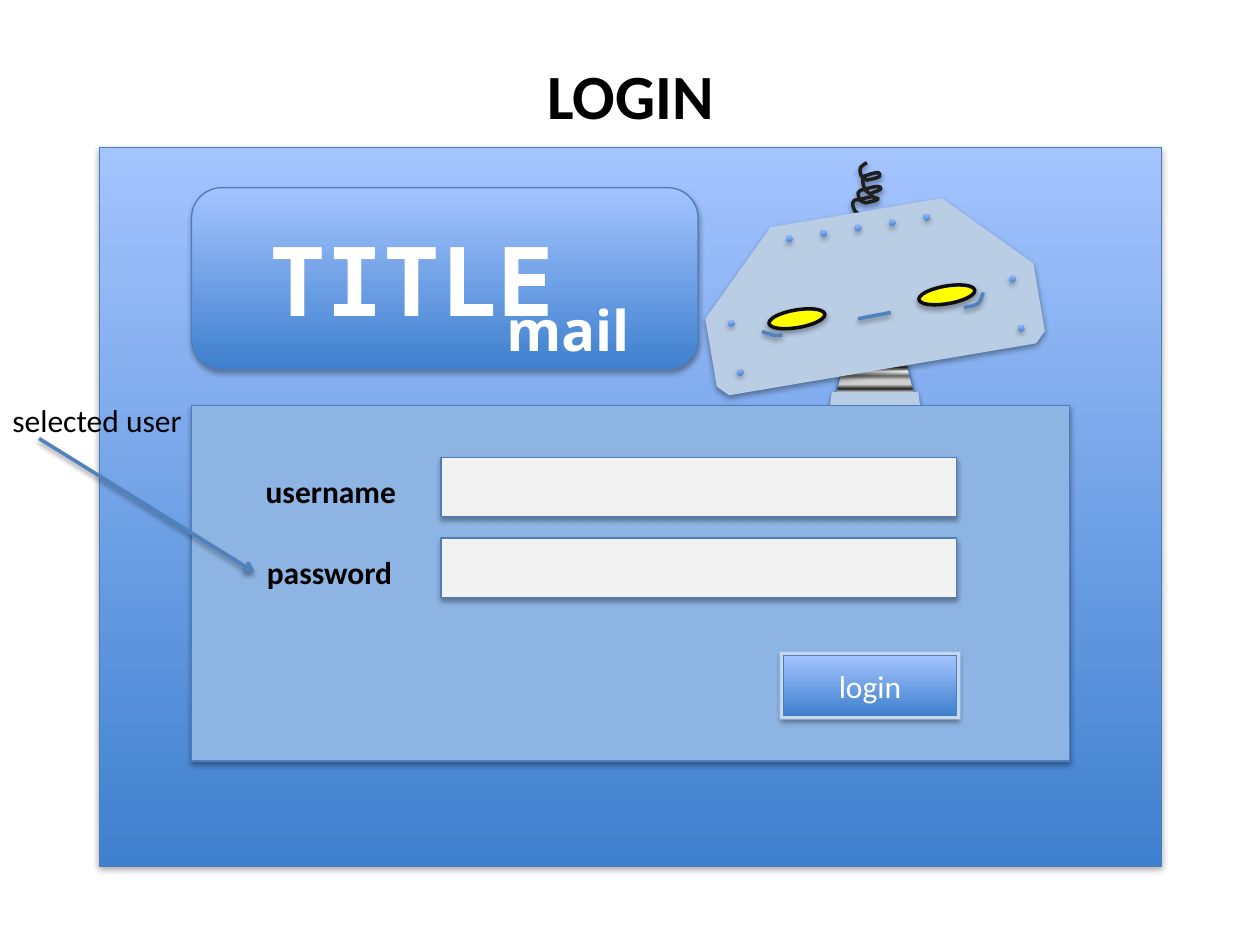
from lxml import etree
from pptx import Presentation
from pptx import util as u
from pptx.dml.color import RGBColor
from pptx.enum import shapes, text
from pptx.oxml.ns import qn

BLACK = RGBColor(0x00, 0x00, 0x00)
WHITE = RGBColor(0xFF, 0xFF, 0xFF)
DEEP = RGBColor(0x3F, 0x80, 0xCE)
SKY = RGBColor(0xA4, 0xC4, 0xFF)
EDGE = RGBColor(0x4B, 0x7E, 0xBC)
STROKE = RGBColor(0x4F, 0x81, 0xBD)
PANEL = RGBColor(0x8E, 0xB4, 0xE3)
METAL = RGBColor(0xB9, 0xCD, 0xE5)
FIELD = RGBColor(0xF2, 0xF2, 0xF2)
YELLOW = RGBColor(0xFF, 0xFF, 0x00)
OUTLINE = RGBColor(0x0D, 0x0D, 0x0D)
WIRE = RGBColor(0x1F, 0x1F, 0x1F)
HALO = RGBColor(0xC6, 0xD9, 0xF1)
STEEL = [(0, "FFFFFF"), (7, "1F1F1F"), (14, "FFFFFF"), (21, "636363"), (28, "CFCFCF"),
         (35, "CFCFCF"), (42, "1F1F1F"), (49, "FFFFFF"), (55, "7F7F7F")]
TILT = -9.6
SHAPE = shapes.MSO_SHAPE

COIL = [(1.30, 0), (1.28, .02), (1.26, .02), (1.25, .04), (1.24, .06), (1.25, .10), (1.26, .11),
        (1.27, .12), (1.29, .13), (1.30, .14), (1.33, .13), (1.37, .13), (1.40, .11),
        (1.41, .10), (1.40, .08), (1.39, .08), (1.35, .08), (1.31, .10), (1.27, .11),
        (1.27, .16), (1.26, .16), (1.29, .22), (1.30, .23), (1.31, .24), (1.33, .25),
        (1.35, .23), (1.39, .23), (1.41, .21), (1.42, .20), (1.40, .19), (1.39, .19),
        (1.34, .19), (1.30, .21), (1.25, .22), (1.25, .23), (1.23, .23), (1.23, .24),
        (1.24, .31), (1.24, .30), (1.29, .32), (1.32, .31), (1.36, .31), (1.39, .29),
        (1.40, .29), (1.38, .28), (1.37, .28), (1.36, .27), (1.35, .27), (1.34, .27),
        (1.30, .28), (1.25, .29), (1.20, .30), (1.17, .32), (1.20, .38), (1.21, .39),
        (1.22, .40), (1.24, .41), (1.24, .41)]
LEFT_CHEEK = [(.47, 1.34), (.49, 1.35), (.51, 1.36), (.53, 1.36), (.57, 1.38), (.59, 1.37),
              (.63, 1.37)]
RIGHT_CHEEK = [(2.07, 1.15), (2.11, 1.14), (2.15, 1.14), (2.18, 1.12), (2.20, 1.11),
               (2.20, 1.09), (2.21, 1.07), (2.22, 1.06), (2.22, 1.03), (2.22, 1.03)]


def add_effect(parent, name, color, alpha, **attrs):
    """Append one colored effect to an effect list."""
    effect = etree.SubElement(parent, qn("a:" + name), {k: str(v) for k, v in attrs.items()})
    clr = etree.SubElement(effect, qn("a:srgbClr"), val=str(color))
    etree.SubElement(clr, qn("a:alpha"), val=str(alpha * 1000))


def add_shadow(sp, alpha=35, dist=1.8, halo=None):
    """Give a shape or connector a soft shadow below, and a halo if wanted."""
    effects = etree.SubElement(sp._element.spPr, qn("a:effectLst"))
    if halo:
        add_effect(effects, "glow", halo, 100, rad=u.Pt(1))
    add_effect(effects, "outerShdw", BLACK, alpha, blurRad=u.Pt(3.1), dist=u.Pt(dist),
               dir=5400000, rotWithShape=0)


def add_block(parent, kind, x, y, w, h, fill=None, line=None, width=0.75, rot=0, adj=(), halo=None):
    """Add a shadowed preset shape; without a fill it gets the blue gradient."""
    sp = parent.shapes.add_shape(kind, *map(u.Inches, (x, y, w, h)))
    sp.rotation = rot
    for i, value in enumerate(adj):
        sp.adjustments[i] = value
    if fill is None:
        sp.fill.gradient()
        sp.fill.gradient_angle = 90
        for stop, color in zip(sp.fill.gradient_stops, (DEEP, SKY)):
            stop.color.rgb = color
    else:
        sp.fill.solid()
        sp.fill.fore_color.rgb = fill
    if line is None:
        sp.line.fill.background()
    else:
        sp.line.color.rgb = line
        sp.line.width = u.Pt(width)
    add_shadow(sp, halo=halo)
    return sp


def add_stroke(parent, x1, y1, x2, y2):
    """Add a shadowed straight line."""
    line = parent.shapes.add_connector(shapes.MSO_CONNECTOR.STRAIGHT,
                                       *map(u.Inches, (x1, y1, x2, y2)))
    line.line.color.rgb = STROKE
    line.line.width = u.Pt(2)
    add_shadow(line, 38, 1.6)
    return line


def add_curve(parent, x, y, points, color):
    """Draw a chain of cubic Bezier segments as an open outline."""
    start, *rest = [(u.Inches(x + px), u.Inches(y + py)) for px, py in points]
    builder = parent.shapes.build_freeform(*start)
    builder.add_line_segments(rest, close=False)
    sp = builder.convert_to_shape()
    corners = list(sp._element.spPr.iter(qn("a:lnTo")))
    for i in range(0, len(corners), 3):
        curve = etree.Element(qn("a:cubicBezTo"))
        corners[i].addprevious(curve)
        for corner in corners[i:i + 3]:
            curve.append(corner[0])
            corner.getparent().remove(corner)
    sp.fill.background()
    sp.line.color.rgb = color
    sp.line.width = u.Pt(2)
    add_shadow(sp, 38, 1.6)


def set_text(sp, words, size, color=BLACK, bold=False, font="Calibri", align=text.PP_ALIGN.LEFT):
    """Write one line of formatted text into a shape."""
    p = sp.text_frame.paragraphs[0]
    p.text = words
    p.alignment = align
    f = p.runs[0].font
    f.name, f.size, f.bold = font, u.Pt(size), bold
    f.color.rgb = color


def add_label(s, x, y, w, h, words, size=18, **style):
    """Add an unwrapped text box."""
    sp = s.shapes.add_textbox(*map(u.Inches, (x, y, w, h)))
    sp.text_frame.word_wrap = False
    sp.text_frame.auto_size = text.MSO_AUTO_SIZE.SHAPE_TO_FIT_TEXT
    set_text(sp, words, size, **style)
    return sp


def add_rivets(parent, x, y, spots, rot=0):
    """Add a small round rivet at each spot."""
    for dx, dy in spots:
        add_block(parent, SHAPE.OVAL, x + dx, y + dy, .05, .05, rot=rot)


def add_robot(s, x, y):
    """Draw the tilted robot head on its spring neck."""
    robot = s.shapes.add_group_shape()
    neck = add_block(robot, SHAPE.TRAPEZOID, x + .99, y + 1.59, .75, .49, line=EDGE)
    neck.fill.gradient_angle = 270
    stops = neck._element.spPr.find(qn("a:gradFill")).find(qn("a:gsLst"))
    stops[:] = []
    for pos, color in STEEL:
        gs = etree.SubElement(stops, qn("a:gs"), pos=str(pos * 1000))
        etree.SubElement(gs, qn("a:srgbClr"), val=color)
    add_block(robot, SHAPE.TRAPEZOID, x + .99, y + 1.82, .75, .24, METAL, adj=[.135])
    add_rivets(robot, x, y, [(1.07, 1.95), (1.62, 1.95)])
    add_curve(robot, x, y, COIL, WIRE)
    add_block(robot, SHAPE.SNIP_2_SAME_RECTANGLE, x, y + .39, 2.64, 1.26, METAL,
              rot=TILT, adj=[.5, .067])
    for dx, dy in ((1.71, .98), (.52, 1.17)):
        add_block(robot, SHAPE.OVAL, x + dx, y + dy, .45, .14, YELLOW, OUTLINE, 2, TILT)
    add_stroke(robot, x + 1.23, y + 1.24, x + 1.49, y + 1.19)
    brow = [(.66 + 1.09 * i / 4, .58 - .17 * i / 4) for i in range(5)]
    left = [(.20, 1.25), (.27, 1.64)]
    right = [(dx + 2.23, dy - .35) for dx, dy in left]
    add_rivets(robot, x, y, brow + left + right, TILT)
    for cheek in (LEFT_CHEEK, RIGHT_CHEEK):
        add_curve(robot, x, y, cheek, STROKE)


def add_form(s, x, y, w, h):
    """Draw the login panel with its fields and button, and return the last label."""
    add_block(s, SHAPE.RECTANGLE, x, y, w, h, PANEL, EDGE)
    for i, (words, width) in enumerate((("username", 1.24), ("password", 1.2))):
        top = y + .41 + .64 * i
        add_block(s, SHAPE.RECTANGLE, x + 1.98, top, 4.09, .47, FIELD, EDGE)
        label = add_label(s, x + .49 + .01 * i, top + .07, width, .4, words, bold=True)
    button = add_block(s, SHAPE.RECTANGLE, x + 4.7, y + 1.98, 1.37, .48, line=EDGE, halo=HALO)
    set_text(button, "login", 18, WHITE, align=text.PP_ALIGN.CENTER)
    return label


def add_banner(s, x, y, w, h):
    """Draw the rounded name banner."""
    sp = add_block(s, SHAPE.ROUNDED_RECTANGLE, x, y, w, h, line=EDGE)
    sp.text_frame.margin_left = u.Inches(.55)
    set_text(sp, "TITLE", 54, WHITE, True, "DejaVu Sans Mono")
    add_label(s, x + 2.4, y + .81, 1.28, .64, "mail", 32, color=WHITE, bold=True, font="Noto Sans")


def add_callout(s, x, y, target):
    """Add the note and its arrow to the target label."""
    arrow = add_stroke(s, x + .31, y + .35, x + 2.02, y + 1.4)
    arrow.end_connect(target, 1)
    etree.SubElement(arrow._element.spPr.find(qn("a:ln")), qn("a:tailEnd"), type="arrow")
    add_label(s, x, y, 1.58, .4, "selected user")


def main():
    """Build the login slide."""
    prs = Presentation()
    prs.slide_width, prs.slide_height = u.Inches(10), u.Inches(7.5)
    s = prs.slides.add_slide(prs.slide_layouts[5])
    title = s.shapes.title
    title.left, title.top, title.width, title.height = map(u.Inches, (1.52, .39, 6.97, .71))
    set_text(title, "LOGIN", 36, bold=True, align=text.PP_ALIGN.CENTER)
    add_block(s, SHAPE.RECTANGLE, .79, 1.17, 8.43, 5.71, line=EDGE)
    add_robot(s, 5.58, 1.29)
    password = add_form(s, 1.52, 3.22, 6.97, 2.82)
    add_callout(s, 0, 3.13, password)
    add_banner(s, 1.52, 1.49, 4.02, 1.44)
    prs.save("out.pptx")


if __name__ == "__main__":
    main()
